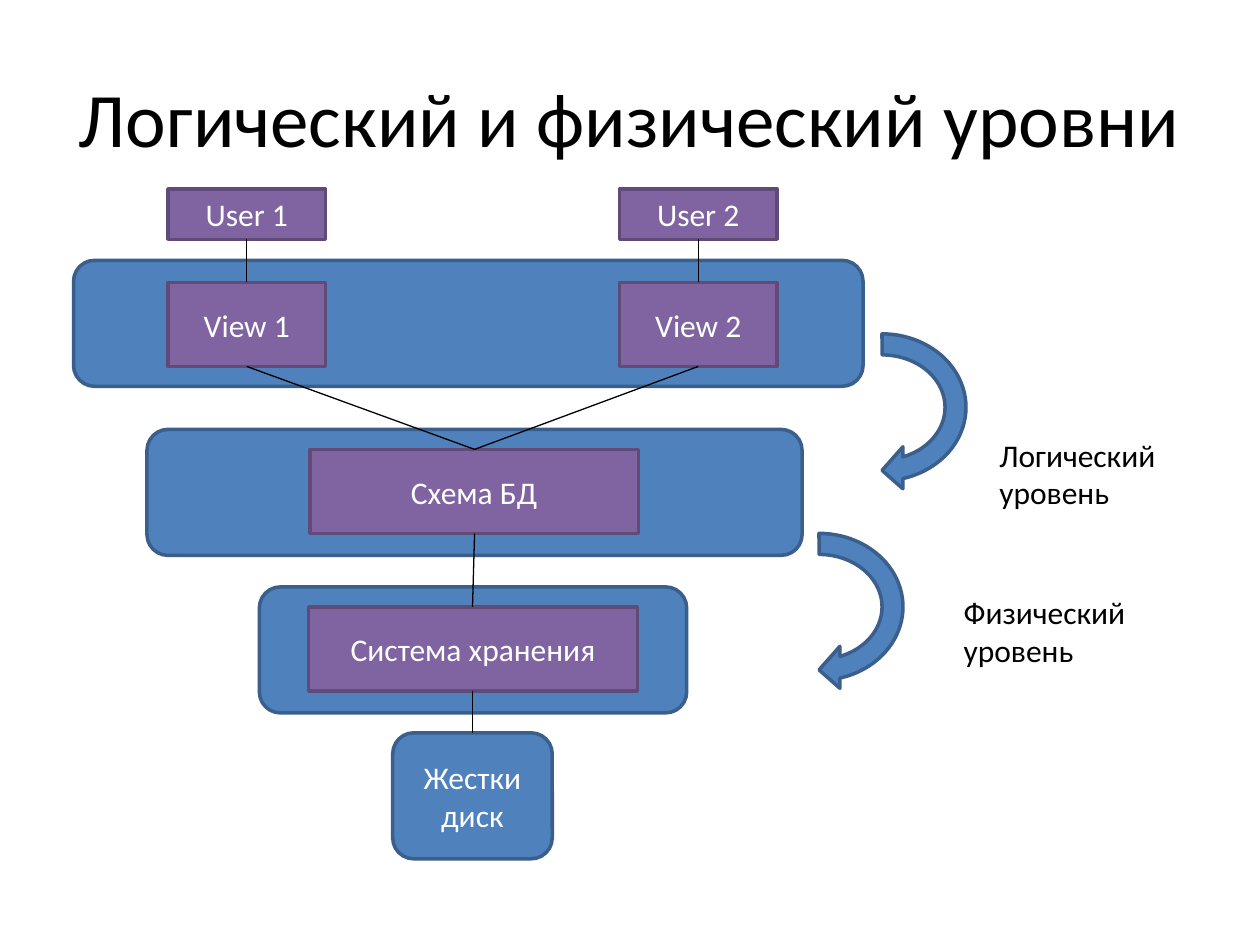
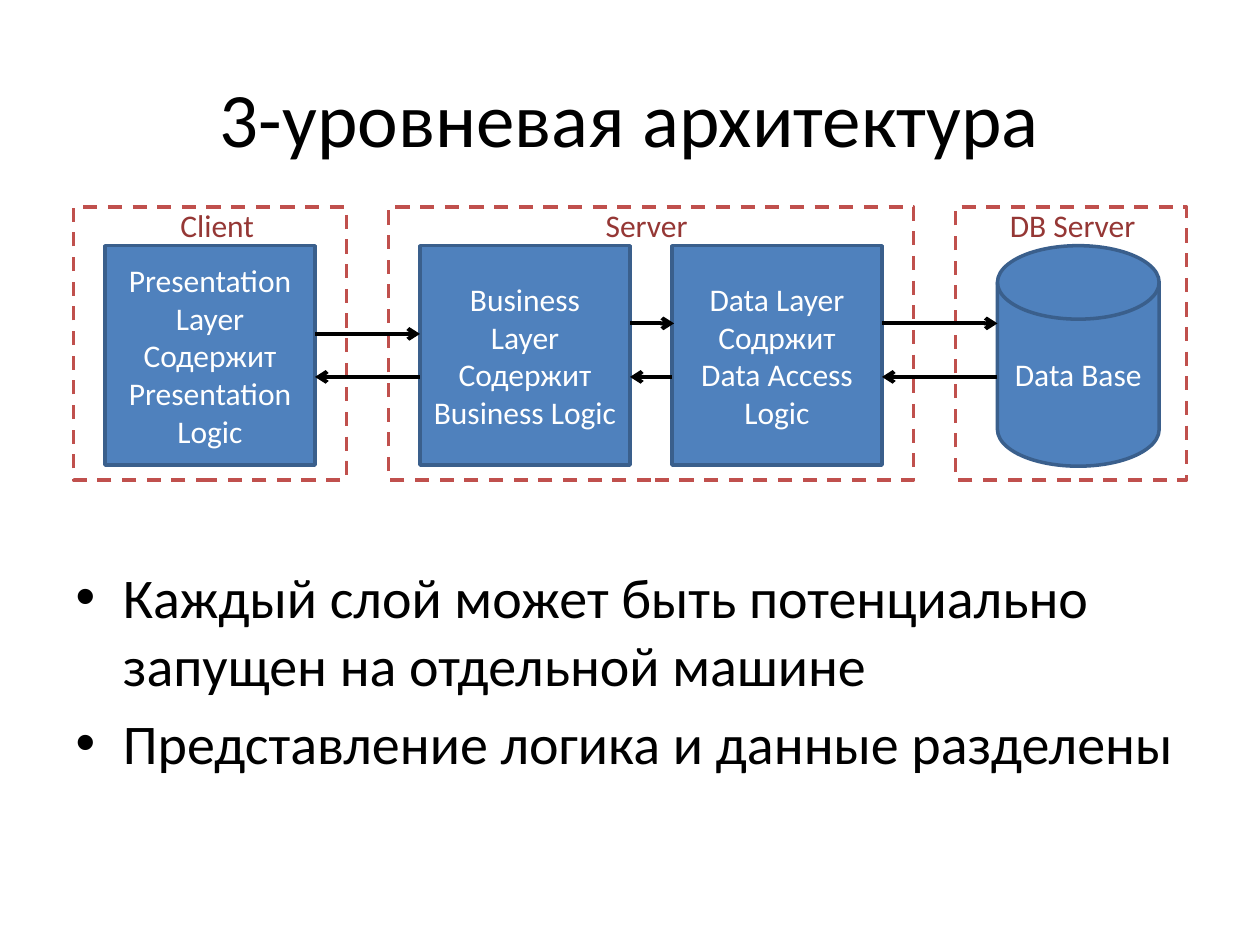
"""Build two slides on database levels and three-tier architecture."""
import lxml.etree
import pptx
import pptx.dml.color
import pptx.enum.dml
import pptx.enum.shapes
import pptx.enum.text
import pptx.oxml.ns
import pptx.util

COLORS = {
    "white": "FFFFFF", "black": "000000", "blue": "4F81BD", "navy": "3A5F8C",
    "purple": "8064A2", "plum": "5F4A78", "red": "C0504D", "maroon": "953735",
}
FONT = "Calibri"
SHAPES = pptx.enum.shapes.MSO_SHAPE
ALIGN = pptx.enum.text.PP_ALIGN
ANCHOR = pptx.enum.text.MSO_ANCHOR

deck = pptx.Presentation()
deck.slide_width = pptx.util.Inches(10)
deck.slide_height = pptx.util.Inches(7.5)
COLUMN = deck.slide_width / 120
ROW = deck.slide_height / 90


def write_text(shape, text, size=18, color="black", align=None, anchor=None, grow=False):
    frame = shape.text_frame
    frame.text = text
    frame.word_wrap = True
    if anchor is not None:
        frame.vertical_anchor = anchor
    if grow:
        frame.auto_size = pptx.enum.text.MSO_AUTO_SIZE.SHAPE_TO_FIT_TEXT
    for para in frame.paragraphs:
        para.alignment = align
        for span in para.runs:
            span.font.name = FONT
            span.font.size = pptx.util.Pt(size)
            span.font.color.rgb = pptx.dml.color.RGBColor.from_string(COLORS[color])


def add_box(page, kind, left, top, width, height, text="", fill="blue", line="navy"):
    box = page.shapes.add_shape(
        kind, round(left * COLUMN), round(top * ROW), round(width * COLUMN), round(height * ROW))
    box.shadow.inherit = False
    box.fill.solid()
    box.fill.fore_color.rgb = pptx.dml.color.RGBColor.from_string(COLORS[fill])
    box.line.color.rgb = pptx.dml.color.RGBColor.from_string(COLORS[line])
    box.line.width = pptx.util.Pt(2)
    if text:
        write_text(box, text, color="white", align=ALIGN.CENTER, anchor=ANCHOR.MIDDLE)
    return box


levels = deck.slides.add_slide(deck.slide_layouts[5])
tiers = deck.slides.add_slide(deck.slide_layouts[1])
for page, title in [(levels, "Логический и физический уровни"), (tiers, "3-уровневая архитектура")]:
    write_text(page.shapes.title, title, size=44, align=ALIGN.CENTER, anchor=ANCHOR.MIDDLE)

for left, top, width, text in [
    (7, 24.8, 75.2, ""),
    (14, 40.9, 62.4, ""),
    (24.7, 55.9, 40.7, ""),
    (37.4, 69.8, 15.2, "Жестки диск"),
]:
    add_box(levels, SHAPES.ROUNDED_RECTANGLE, left, top, width, 12, text)

for left, top, width, height, text in [
    (16, 18, 15, 4.8, "User 1"),
    (59, 18, 15, 4.8, "User 2"),
    (16, 26.9, 15, 8, "View 1"),
    (59, 26.9, 15, 8, "View 2"),
    (29.5, 42.8, 31.3, 8, "Схема БД"),
    (29.4, 57.8, 31.3, 8, "Система хранения"),
]:
    add_box(levels, SHAPES.RECTANGLE, left, top, width, height, text, fill="purple", line="plum")

for left, top in [(76, 29.8), (70, 48.8)]:
    add_box(levels, SHAPES.CIRCULAR_ARROW, left, top, 16, 18).rotation = 90

body = tiers.placeholders[1]
body.left, body.top = round(6 * COLUMN), round(53 * ROW)
body.width, body.height = round(108 * COLUMN), round(29 * ROW)
write_text(
    body,
    "Каждый слой может быть потенциально запущен на отдельной машине\n"
    "Представление логика и данные разделены",
    size=32)

for left, width in [(7, 26), (37, 50), (91, 22)]:
    zone = add_box(tiers, SHAPES.RECTANGLE, left, 19.7, width, 26, fill="white", line="red")
    zone.line.dash_style = pptx.enum.dml.MSO_LINE.DASH

for left, text in [
    (10, "Presentation Layer\nСодержит\nPresentation Logic"),
    (40, "Business Layer\nСодержит\nBusiness Logic"),
    (64, "Data Layer\nСодржит\nData Access Logic"),
]:
    add_box(tiers, SHAPES.RECTANGLE, left, 23.4, 20, 20.9, text)
add_box(tiers, SHAPES.FLOWCHART_MAGNETIC_DISK, 95, 23.4, 15.4, 21, "Data Base")

for page, left, top, width, height, text, color in [
    (levels, 94, 40.9, 23, 8.5, "Логический уровень", "black"),
    (levels, 90.6, 55.9, 23, 8.5, "Физический уровень", "black"),
    (tiers, 16, 19, 11, 4.8, "Client", "maroon"),
    (tiers, 56.5, 19, 11, 4.8, "Server", "maroon"),
    (tiers, 95, 19, 15.4, 4.8, "DB Server", "maroon"),
]:
    label = page.shapes.add_textbox(
        round(left * COLUMN), round(top * ROW), round(width * COLUMN), round(height * ROW))
    write_text(label, text, color=color, grow=True)

level_links = [
    (23.5, 22.8, 23.5, 26.9), (66.5, 22.8, 66.5, 26.9),
    (23.5, 34.9, 45.2, 42.8), (66.5, 34.9, 45.2, 42.8),
    (45.2, 50.8, 45, 57.8), (45, 65.8, 45, 69.8),
]
tier_links = [
    (30, 31.8, 40, 31.8), (40, 35.9, 30, 35.9),
    (60, 30.8, 64.2, 30.8), (64, 35.9, 60, 35.9),
    (84, 30.8, 95, 30.8), (95, 35.9, 84, 35.9),
]
for page, links, weight in [(levels, level_links, 0.75), (tiers, tier_links, 2.25)]:
    for start_x, start_y, end_x, end_y in links:
        link = page.shapes.add_connector(
            pptx.enum.shapes.MSO_CONNECTOR.STRAIGHT,
            round(start_x * COLUMN), round(start_y * ROW),
            round(end_x * COLUMN), round(end_y * ROW))
        link.line.color.rgb = pptx.dml.color.RGBColor.from_string(COLORS["black"])
        link.line.width = pptx.util.Pt(weight)
        if page is tiers:
            lxml.etree.SubElement(
                link.line._get_or_add_ln(), pptx.oxml.ns.qn("a:tailEnd"), type="arrow")
        lxml.etree.SubElement(link._element.spPr, pptx.oxml.ns.qn("a:effectLst"))

deck.save("out.pptx")
